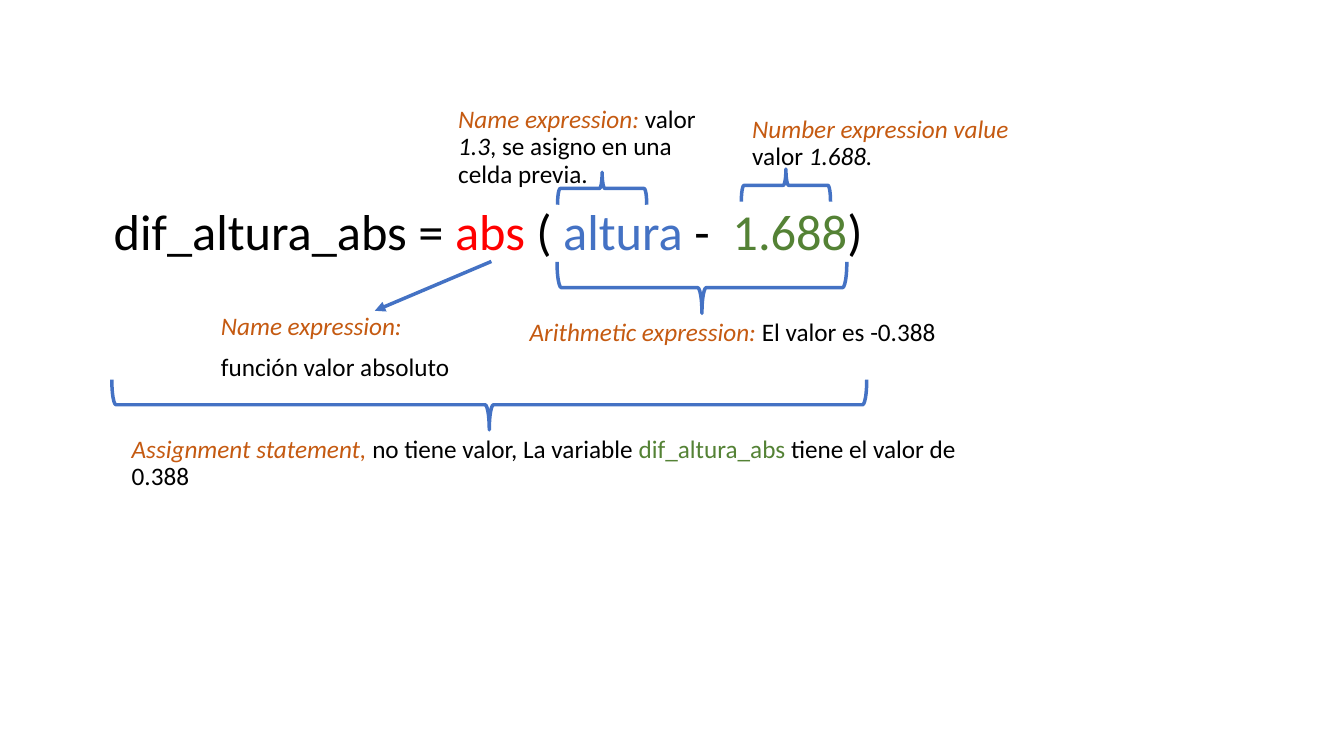
"""Builds a slide that breaks a Python assignment into its expressions."""
from dataclasses import dataclass

from lxml import etree
from pptx import Presentation
from pptx import util as u
from pptx.dml.color import RGBColor
from pptx.enum import shapes
from pptx.oxml import ns


@dataclass(frozen=True)
class Theme:
    font: str = "Calibri"
    code_pt: int = 36
    note_pt: int = 18
    line_pt: float = 2.5
    black: str = "000000"
    red: str = "FF0000"
    blue: str = "4472C4"
    green: str = "548235"
    orange: str = "C55A11"


@dataclass(frozen=True)
class Span:
    text: str
    color: str
    italic: bool = False


@dataclass(frozen=True)
class Label:
    x: int
    y: int
    w: int
    h: int
    paragraphs: list[list[Span]]
    size: int


@dataclass(frozen=True)
class Brace:
    x: int
    y: int
    w: int
    h: int
    rotation: int


THEME = Theme()
POINT_DOWN, POINT_UP = 90, 270


def px(n: int) -> u.Emu:
    return u.Emu(n * 9525)


def term(text: str) -> Span:
    return Span(text, THEME.orange, italic=True)


def plain(text: str) -> Span:
    return Span(text, THEME.black)


def value(text: str) -> Span:
    return Span(text, THEME.black, italic=True)


STATEMENT = Label(88, 192, 1104, 457, [[
    plain(" dif_altura_abs = "), Span("abs", THEME.red), plain(" ( "),
    Span("altura", THEME.blue), plain(" -  "), Span("1.688", THEME.green), plain(")"),
]], THEME.code_pt)

NOTES = [
    Label(495, 300, 422, 58, [[
        term("Arithmetic expression: "), plain("El valor es -0.388"),
    ]], THEME.note_pt),
    Label(427, 97, 266, 41, [[
        term("Name expression: "), plain("valor "), value("1.3"),
        plain(", se asigno en una celda previa."),
    ]], THEME.note_pt),
    Label(707, 106, 266, 48, [[
        term("Number expression value "), plain("valor "), value("1.688."),
    ]], THEME.note_pt),
    Label(201, 294, 422, 58, [
        [term("Name expression:")], [plain("función valor absoluto")],
    ], THEME.note_pt),
    Label(116, 411, 856, 58, [[
        term("Assignment statement, "), plain("no tiene valor, La variable "),
        Span("dif_altura_abs ", THEME.green), plain("tiene el valor de 0.388"),
    ]], THEME.note_pt),
]

BRACES = [
    Brace(531, 249, 276, 49, POINT_DOWN),
    Brace(531, 164, 85, 31, POINT_UP),
    Brace(706, 161, 85, 31, POINT_UP),
    Brace(107, 361, 719, 48, POINT_DOWN),
]


def add_label(s, label: Label) -> None:
    sp = s.shapes.add_textbox(px(label.x), px(label.y), px(label.w), px(label.h))
    tf = sp.text_frame
    tf.word_wrap = True
    for i, spans in enumerate(label.paragraphs):
        p = tf.add_paragraph() if i else tf.paragraphs[0]
        p.line_spacing = 0.9
        p.space_before = u.Pt(10 if i else 0)
        for span in spans:
            r = p.add_run()
            r.text = span.text
            r.font.name = THEME.font
            r.font.size = u.Pt(label.size)
            r.font.italic = span.italic
            r.font.color.rgb = RGBColor.from_string(span.color)


def style_line(sp) -> None:
    sp.line.color.rgb = RGBColor.from_string(THEME.blue)
    sp.line.width = u.Pt(THEME.line_pt)


def add_brace(s, brace: Brace) -> None:
    shift = (brace.w - brace.h) // 2
    sp = s.shapes.add_shape(
        shapes.MSO_SHAPE.RIGHT_BRACE,
        px(brace.x + shift), px(brace.y - shift), px(brace.h), px(brace.w),
    )
    sp.rotation = brace.rotation
    sp.shadow.inherit = False
    sp.fill.background()
    style_line(sp)


def add_arrow(s, x1: int, y1: int, x2: int, y2: int) -> None:
    sp = s.shapes.add_connector(
        shapes.MSO_CONNECTOR.STRAIGHT, px(x1), px(y1), px(x2), px(y2)
    )
    style_line(sp)
    etree.SubElement(sp.line._get_or_add_ln(), ns.qn("a:tailEnd"), type="triangle")
    etree.SubElement(sp._element.spPr, ns.qn("a:effectLst"))


def main() -> None:
    prs = Presentation()
    prs.slide_width, prs.slide_height = px(1280), px(720)
    s = prs.slides.add_slide(prs.slide_layouts[6])
    add_label(s, STATEMENT)
    for brace in BRACES:
        add_brace(s, brace)
    add_arrow(s, 468, 249, 357, 296)
    for note in NOTES:
        add_label(s, note)
    prs.save("out.pptx")


if __name__ == "__main__":
    main()
